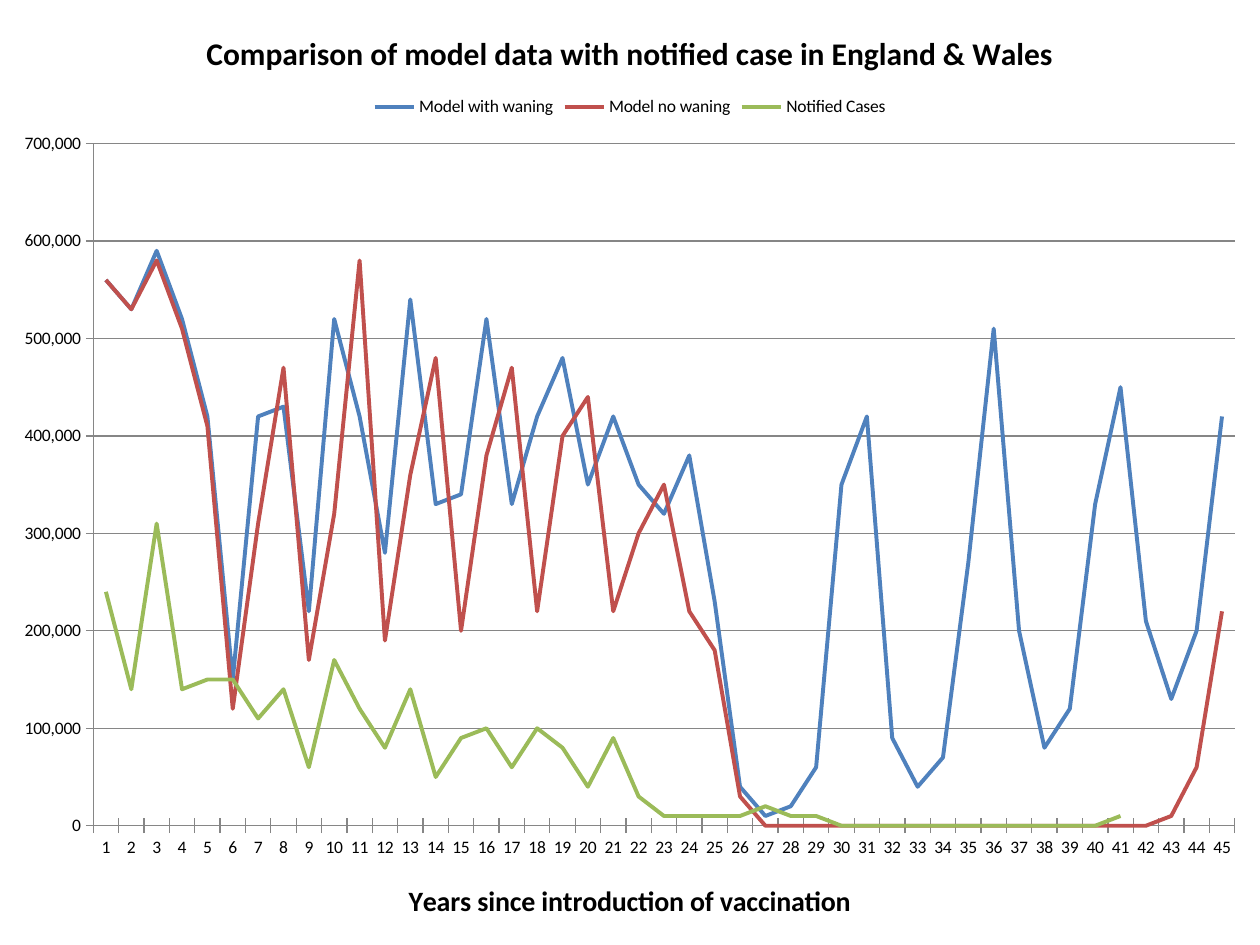
from pptx import Presentation
from pptx.chart.data import CategoryChartData
from pptx.dml.color import RGBColor
from pptx.enum.chart import XL_CHART_TYPE, XL_LEGEND_POSITION, XL_TICK_MARK
from pptx.oxml import parse_xml
from pptx.oxml.ns import nsdecls
from pptx.util import Inches, Pt

LINE = XL_CHART_TYPE.LINE
TOP = XL_LEGEND_POSITION.TOP
CROSS = XL_TICK_MARK.CROSS
BLACK = RGBColor(0, 0, 0)
GREY = RGBColor(0x86, 0x86, 0x86)
BLUE = RGBColor(0x4F, 0x81, 0xBD)
RED = RGBColor(0xC0, 0x50, 0x4D)
GREEN = RGBColor(0x9B, 0xBB, 0x59)
FONT = "Calibri"
YEARS = 45
CASE_UNIT = 10000

# Cases per year, in units of 10,000
CASES = {
    "Model with waning": (BLUE, [
        56, 53, 59, 52, 42, 15, 42, 43, 22, 52, 42, 28, 54, 33, 34,
        52, 33, 42, 48, 35, 42, 35, 32, 38, 23, 4, 1, 2, 6, 35,
        42, 9, 4, 7, 27, 51, 20, 8, 12, 33, 45, 21, 13, 20, 42]),
    "Model no waning": (RED, [
        56, 53, 58, 51, 41, 12, 31, 47, 17, 32, 58, 19, 36, 48, 20,
        38, 47, 22, 40, 44, 22, 30, 35, 22, 18, 3] + [0] * 16 + [1, 6, 22]),
    "Notified Cases": (GREEN, [
        24, 14, 31, 14, 15, 15, 11, 14, 6, 17, 12, 8, 14, 5, 9,
        10, 6, 10, 8, 4, 9, 3, 1, 1, 1, 1, 2, 1, 1]
        + [0] * 11 + [1] + [None] * 4),
}
PLOT_SHARES = {"x": 0.074, "y": 0.152, "w": 0.906, "h": 0.722}


def set_font(font, size, bold=False):
    formats = {"name": FONT, "size": Pt(size), "bold": bold}
    for attribute, value in formats.items():
        setattr(font, attribute, value)
    font.color.rgb = BLACK


def set_line(line, color, width):
    line.color.rgb = color
    line.width = Pt(width)


def add_title(owner, text, size):
    """Title a chart or an axis."""
    owner.has_title = True
    frame = (owner.chart_title if hasattr(owner, "chart_title")
             else owner.axis_title).text_frame
    frame.text = text
    set_font(frame.paragraphs[0].runs[0].font, size, bold=True)


def place_plot(chart, shares):
    """Fix the inner plot area as shares of the chart's size."""
    plot_area = chart.element.xpath(".//c:plotArea")[0]
    for layout in plot_area.xpath("./c:layout"):
        plot_area.remove(layout)
    modes = '<c:xMode val="edge"/><c:yMode val="edge"/>'
    sizes = "".join(f'<c:{side} val="{share}"/>' for side, share in shares.items())
    plot_area.insert(0, parse_xml(
        f'<c:layout {nsdecls("c")}><c:manualLayout>'
        f'<c:layoutTarget val="inner"/>{modes}{sizes}'
        '</c:manualLayout></c:layout>'))


def format_axes(chart):
    years, cases = chart.category_axis, chart.value_axis
    for axis in (years, cases):
        axis.major_tick_mark = CROSS
        set_line(axis.format.line, GREY, 0.75)
    add_title(years, "Years since introduction of vaccination", 16)
    cases.minimum_scale = 0
    cases.maximum_scale = 700000
    cases.major_unit = 100000
    cases.has_major_gridlines = True
    set_line(cases.major_gridlines.format.line, GREY, 0.75)
    cases.tick_labels.number_format = "#,##0"
    cases.tick_labels.number_format_is_linked = False


def add_case_chart(slide, left, top, width, height):
    chart_data = CategoryChartData(number_format="#,##0")
    chart_data.categories = [str(year) for year in range(1, YEARS + 1)]
    for name, (_, counts) in CASES.items():
        chart_data.add_series(
            name, [None if n is None else n * CASE_UNIT for n in counts])
    chart = slide.shapes.add_chart(
        LINE, left, top, width, height, chart_data).chart

    set_font(chart.font, 10)
    add_title(chart, "Comparison of model data with notified case in England & Wales", 18)
    chart.has_legend = True
    chart.legend.position = TOP
    chart.legend.include_in_layout = False
    chart.plots[0].vary_by_categories = False
    for series, (color, _) in zip(chart.plots[0].series, CASES.values()):
        series.smooth = False
        set_line(series.format.line, color, 2.25)
    format_axes(chart)
    place_plot(chart, PLOT_SHARES)


def main():
    deck = Presentation()
    deck.slide_width, deck.slide_height = Inches(10), Inches(7.5)
    slide = deck.slides.add_slide(deck.slide_layouts.get_by_name("Blank"))
    add_case_chart(slide, 0, 0, deck.slide_width, deck.slide_height)
    deck.save("out.pptx")


if __name__ == "__main__":
    main()
